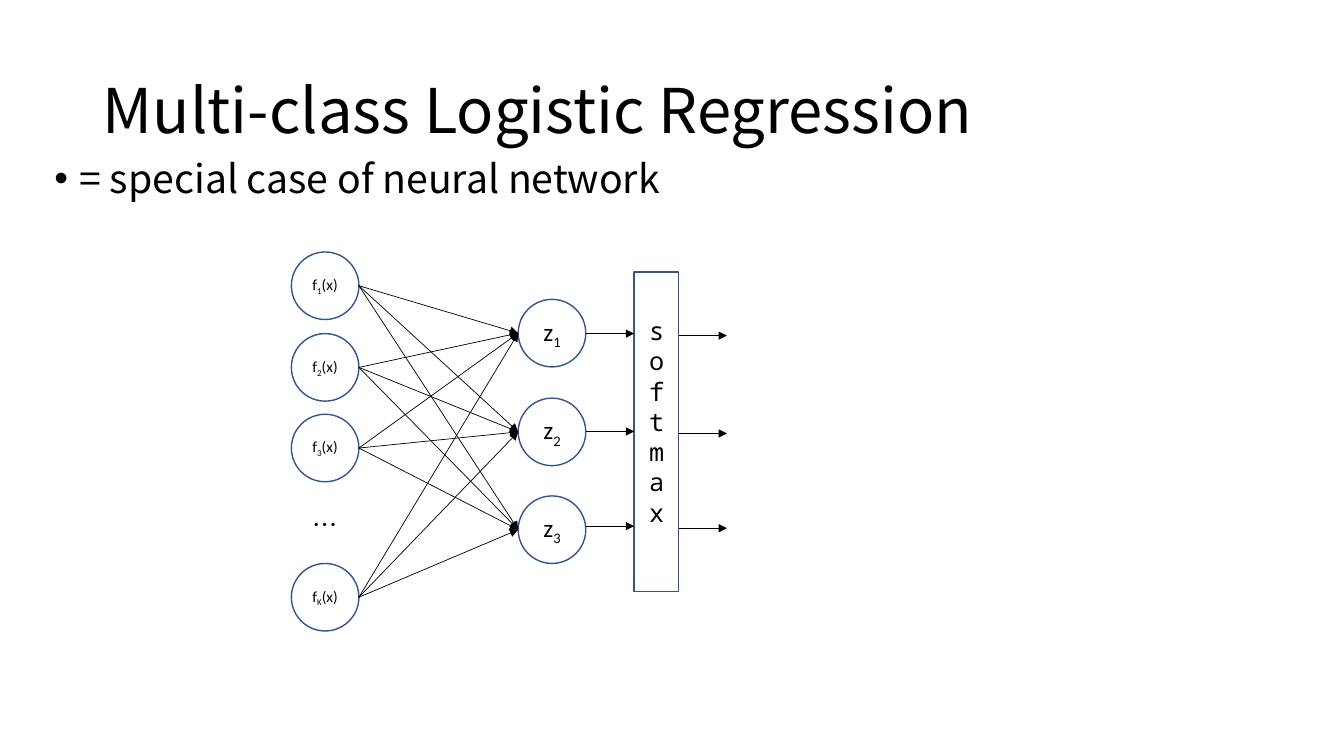
from itertools import product

from lxml import etree
from pptx import Presentation
from pptx.dml.color import RGBColor
from pptx.enum.shapes import MSO_CONNECTOR as Connector, MSO_SHAPE as Shape
from pptx.enum.text import MSO_ANCHOR as Anchor, PP_ALIGN as Align
from pptx.oxml.ns import qn
from pptx.util import Inches, Pt

# Content
TITLE = "Multi-class Logistic Regression"
BULLET = "= special case of neural network"
FEATURES = [("1", 2.5), ("2", 3.31), ("3", 4.11), ("K", 5.59)]  # subscript, top
SCORES = [("1", 2.97), ("2", 3.95), ("3", 4.92)]
ARROW_ROWS = [3.31, 4.28, 5.22]

# Look and layout, in inches
BLACK, BLUE = "000000", "325491"
SANS, LABEL, MONO = "Noto Sans CJK SC", "Calibri", "Noto Sans Mono"
NODE = 0.67
FEATURE_LEFT, SCORE_LEFT = 2.89, 5.14
BAR = (6.29, 2.7, 0.44, 3.17)
ARROW_LENGTH, OUTPUT_DROP = 0.48, 0.02

presentation = Presentation()
presentation.slide_width, presentation.slide_height = Inches(13.33), Inches(7.5)
slide = presentation.slides.add_slide(presentation.slide_layouts[6])


def color(value):
    return RGBColor.from_string(value)


def write(frame, runs, size, font=SANS, align=Align.LEFT, anchor=Anchor.TOP,
          wrap=True, line_spacing=None, bullet=False):
    """Fill a frame with (text, baseline percent) runs, or with plain text."""
    frame.word_wrap, frame.vertical_anchor = wrap, anchor
    paragraph = frame.paragraphs[0]
    paragraph.alignment = align
    if line_spacing:
        paragraph.line_spacing = line_spacing
    if bullet:
        properties = paragraph._p.get_or_add_pPr()
        properties.set("marL", str(Inches(0.25)))
        properties.set("indent", str(-Inches(0.25)))
        etree.SubElement(properties, qn("a:buFont")).set("typeface", "Arial")
        etree.SubElement(properties, qn("a:buChar")).set("char", "•")
    for text, baseline in [(runs, 0)] if isinstance(runs, str) else runs:
        run = paragraph.add_run()
        run.text = text
        run.font.size, run.font.name = Pt(size), font
        run.font.color.rgb = color(BLACK)
        properties = run._r.get_or_add_rPr()
        etree.SubElement(properties, qn("a:ea")).set("typeface", font)
        if baseline:
            properties.set("baseline", str(baseline * 1000))


def add_text(box, text, size, **formatting):
    shape = slide.shapes.add_textbox(*map(Inches, box))
    write(shape.text_frame, text, size, **formatting)


def add_outline(kind, box):
    shape = slide.shapes.add_shape(kind, *map(Inches, box))
    shape.shadow.inherit = False
    shape.fill.background()
    shape.line.color.rgb, shape.line.width = color(BLUE), Pt(1)
    return shape


def add_node(left, top, runs, size):
    frame = add_outline(Shape.OVAL, (left, top, NODE, NODE)).text_frame
    frame.margin_left = frame.margin_right = 0
    write(frame, runs, size, font=LABEL, align=Align.CENTER, anchor=Anchor.MIDDLE)


def add_arrow(x1, y1, x2, y2):
    arrow = slide.shapes.add_connector(Connector.STRAIGHT, *map(Inches, (x1, y1, x2, y2)))
    arrow.line.color.rgb, arrow.line.width = color(BLACK), Pt(0.5)
    etree.SubElement(arrow.line._get_or_add_ln(), qn("a:tailEnd")).set("type", "triangle")
    etree.SubElement(arrow._element.spPr, qn("a:effectLst"))


# Title and bullet
add_text((0.92, 0.4, 11.5, 1.45), TITLE, 44, anchor=Anchor.MIDDLE, line_spacing=0.9)
add_text((0.44, 1.53, 12.44, 5.17), BULLET, 28, line_spacing=0.9, bullet=True)

# Network nodes
for subscript, top in SCORES:
    add_node(SCORE_LEFT, top, [("z", 0), (subscript, -25)], 18)
for subscript, top in FEATURES:
    add_node(FEATURE_LEFT, top, [("f", 0), (subscript, -25), ("(x)", 0)], 11)

# Every feature feeds every score
for (_, feature_top), (_, score_top) in product(FEATURES, SCORES):
    add_arrow(FEATURE_LEFT + NODE, feature_top + NODE / 2, SCORE_LEFT, score_top + NODE / 2)

# Softmax bar with its inputs and outputs
add_outline(Shape.RECTANGLE, BAR)
bar_left, bar_right = BAR[0], BAR[0] + BAR[2]
for y in ARROW_ROWS:
    add_arrow(SCORE_LEFT + NODE, y, bar_left, y)
    add_arrow(bar_right, y + OUTPUT_DROP, bar_right + ARROW_LENGTH, y + OUTPUT_DROP)

# The narrow box stacks the letters one per line
add_text((6.34, 3.08, 0.28, 2.22), "softmax", 18, font=MONO)
add_text((3, 5, 0.45, 0.4), "…", 18, wrap=False)

presentation.save("out.pptx")
